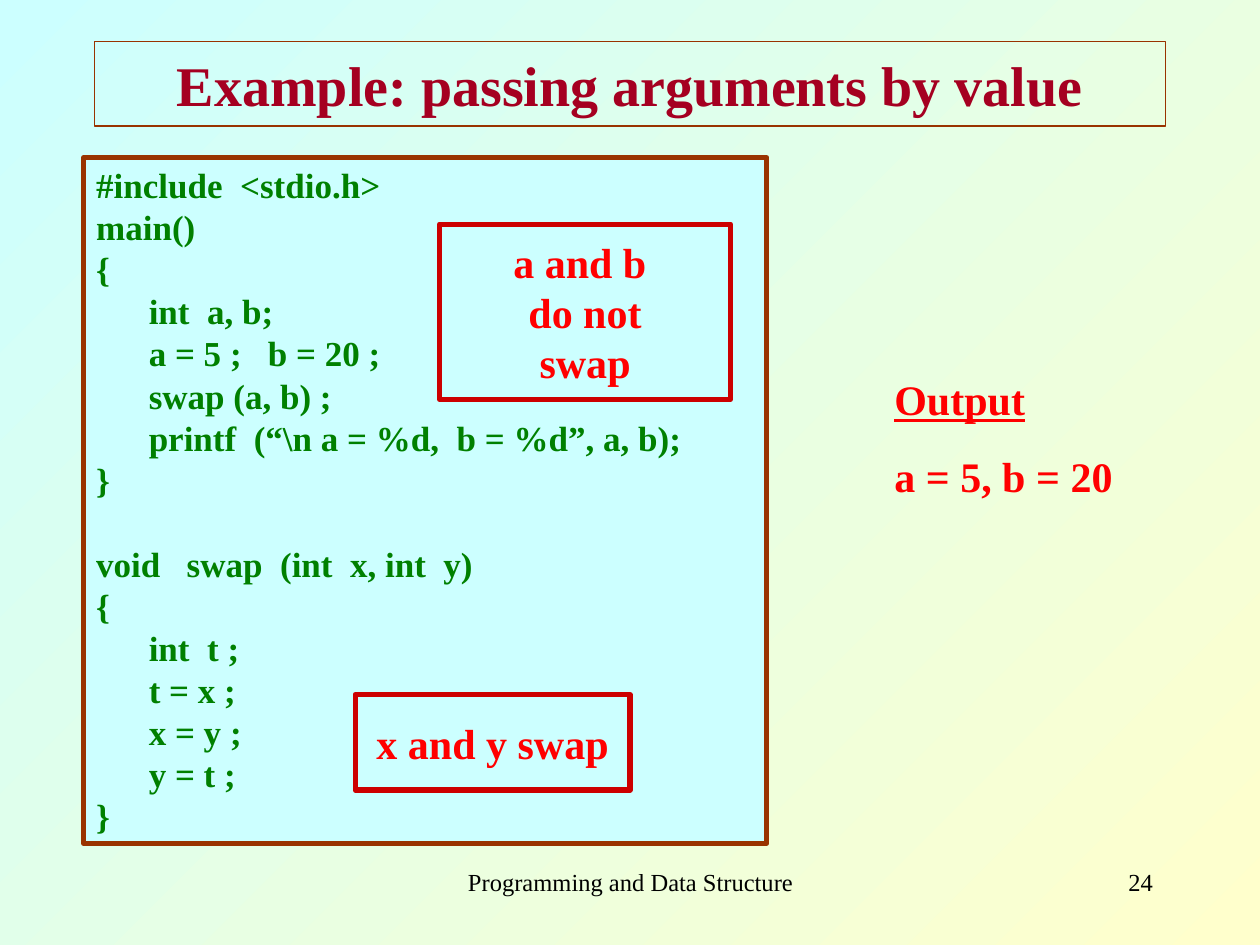
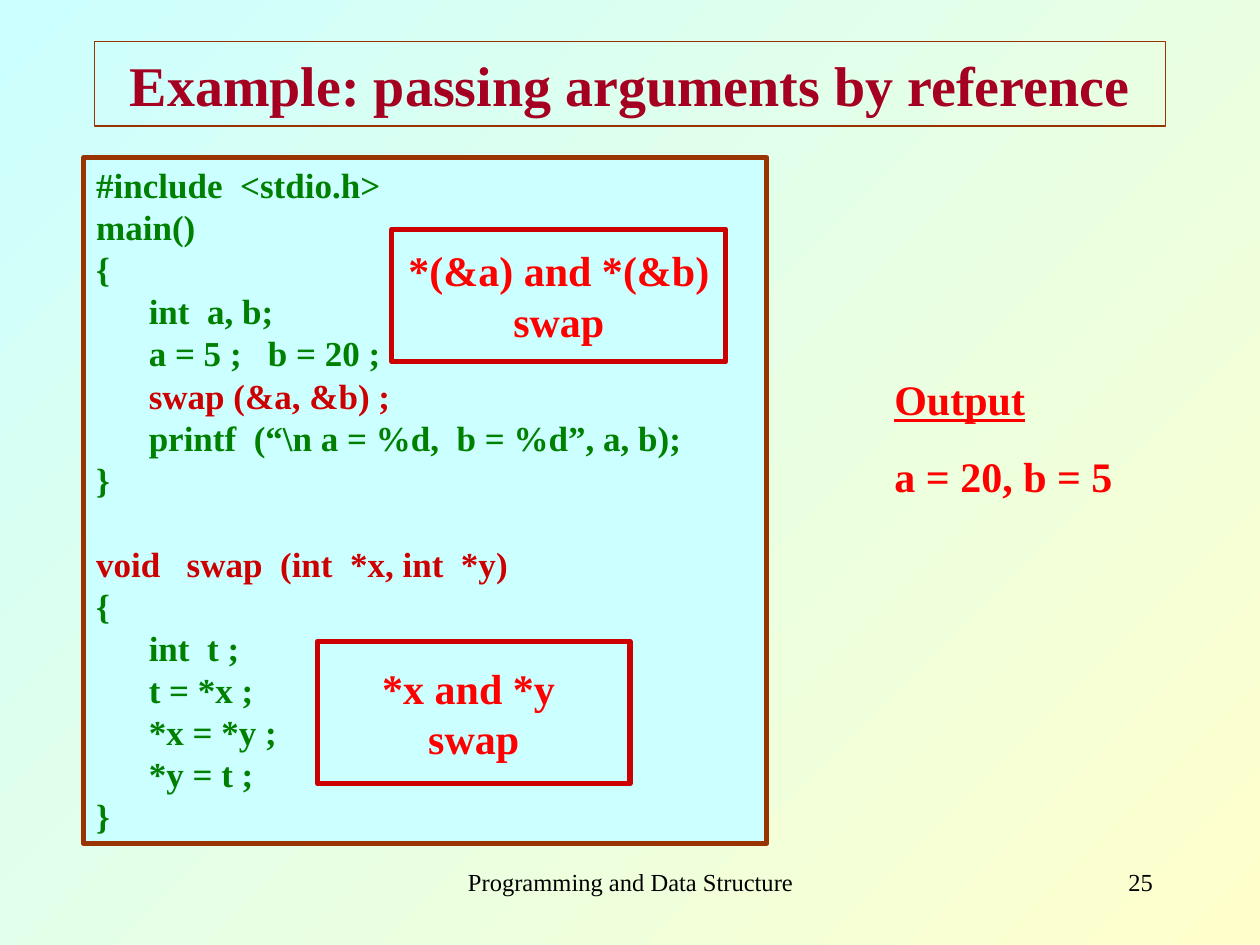
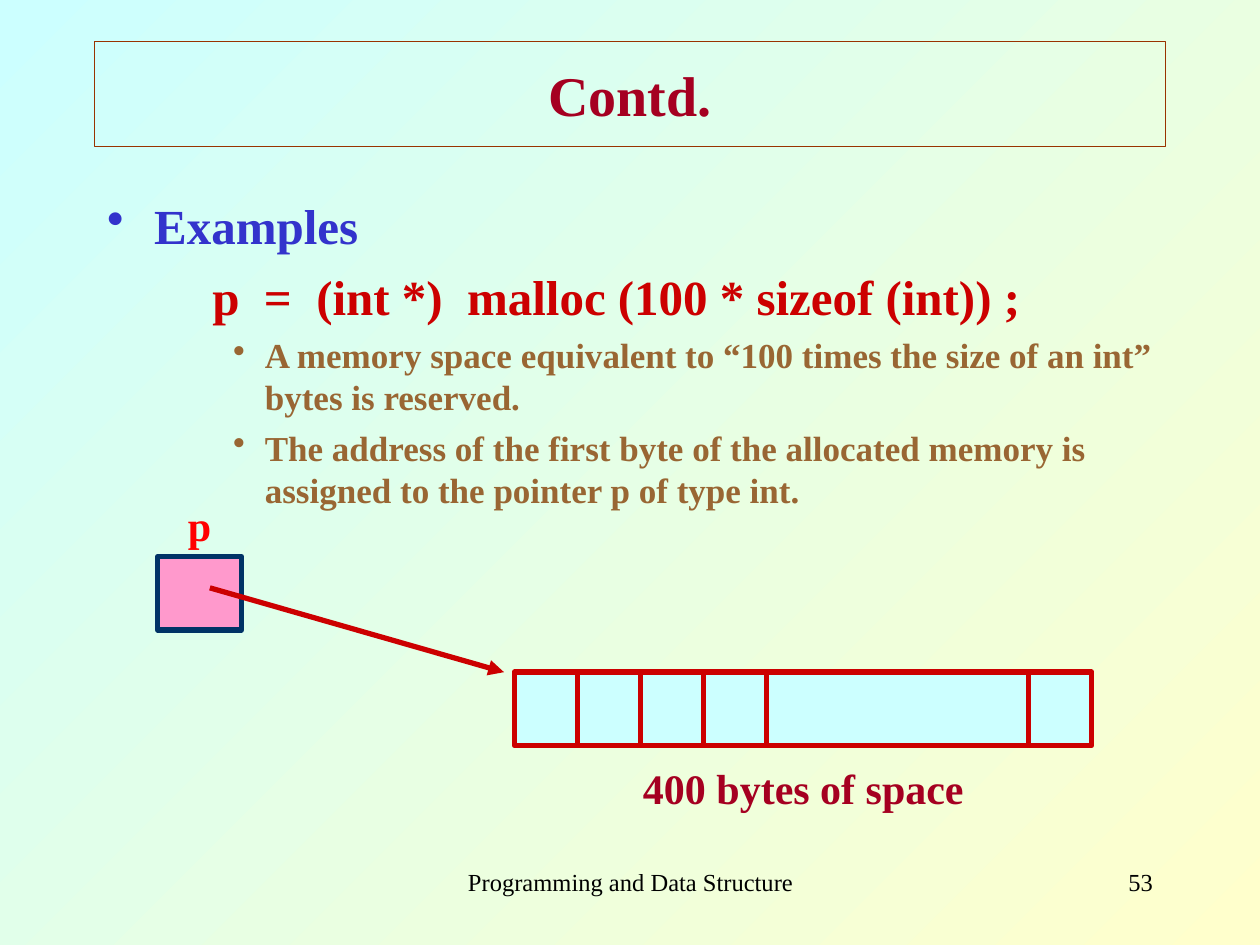
from lxml import etree
from pptx import Presentation, util as u
from pptx.dml import color as dml
from pptx.enum import shapes, text
from pptx.oxml import ns

COLORS = {
    "sky": "CCFFFF", "cream": "FFFFCC", "brown": "993300", "crimson": "A50021",
    "green": "008000", "red": "FF0000", "dark_red": "CC0000", "blue": "3333CC",
    "tan": "996633", "pink": "FF99CC", "navy": "003366", "black": "000000",
}
CENTER, RIGHT = text.PP_ALIGN.CENTER, text.PP_ALIGN.RIGHT
STYLES = {
    "title": {"size": 32, "bold": True, "color": "crimson", "alignment": CENTER},
    "footer": {"size": 14, "color": "black", "alignment": CENTER},
    "code": {"size": 20, "bold": True, "color": "green"},
    "callout": {"size": 24, "bold": True, "color": "red", "alignment": CENTER},
    "output": {"size": 24, "bold": True, "color": "red", "space_before": 15},
    "body": {"size": 28, "bold": True, "color": "blue", "space_before": 7},
}
CODE_INDENT = {"margin": 1.06}
RED = {"color": "dark_red"}
HEADING = {"margin": 0.95, "indent": -0.95, "bullet": "•"}
STATEMENT = {"margin": 2.12, "color": "dark_red"}
DETAIL = {"margin": 3.18, "indent": -0.64, "bullet": "•",
          "size": 20, "color": "tan", "space_before": 5}


def rgb(name):
    return dml.RGBColor.from_string(COLORS[name])


class Deck:
    """Hold the shared style and the slide being filled."""

    def __init__(self):
        self.presentation = Presentation()
        self.presentation.slide_width = u.Cm(25.4)
        self.presentation.slide_height = u.Cm(19.05)
        fill = self.presentation.slide_master.background.fill
        fill.gradient()
        fill.gradient_angle = 315
        for stop, name in zip(fill.gradient_stops, ("sky", "cream")):
            stop.color.rgb = rgb(name)

    def start_slide(self, title, number, title_height=1.7):
        layout = self.presentation.slide_layouts[6]
        self.slide = self.presentation.slides.add_slide(layout)
        self.label((8.69, 17.35, 8.05, 1.27), ["Programming and Data Structure"], "footer")
        self.label((18.21, 17.35, 5.28, 1.27), [(str(number), {"alignment": RIGHT})], "footer")
        box = self.box((1.91, 0.84, 21.59, title_height), None, "brown", 0.75)
        self.set_text(box, [title], "title", vertical_anchor=text.MSO_ANCHOR.MIDDLE)

    def box(self, place, fill, line, width=3):
        shape = self.slide.shapes.add_shape(shapes.MSO_SHAPE.RECTANGLE, *map(u.Cm, place))
        shape.shadow.inherit = False
        if fill:
            shape.fill.solid()
            shape.fill.fore_color.rgb = rgb(fill)
        else:
            shape.fill.background()
        shape.line.color.rgb = rgb(line)
        shape.line.width = u.Pt(width)
        return shape

    def label(self, place, lines, style):
        self.set_text(self.slide.shapes.add_textbox(*map(u.Cm, place)), lines, style)

    def callout(self, place, lines):
        self.set_text(self.box(place, "sky", "dark_red"), lines, "callout",
                      word_wrap=False, vertical_anchor=text.MSO_ANCHOR.MIDDLE)

    def line(self, start, end, arrow=False):
        connector = self.slide.shapes.add_connector(
            shapes.MSO_CONNECTOR.STRAIGHT, *map(u.Cm, start + end))
        connector.line.color.rgb = rgb("dark_red")
        connector.line.width = u.Pt(3)
        if arrow:
            etree.SubElement(connector.get_or_add_ln(), ns.qn("a:tailEnd"), type="triangle")
        etree.SubElement(connector._element.spPr, ns.qn("a:effectLst"))

    def set_text(self, shape, lines, style, **frame_format):
        frame = shape.text_frame
        frame_format = {"word_wrap": True, "vertical_anchor": text.MSO_ANCHOR.TOP, **frame_format}
        for name, value in frame_format.items():
            setattr(frame, name, value)
        for index, line in enumerate(lines):
            words, changes = (line, {}) if isinstance(line, str) else line
            paragraph = frame.add_paragraph() if index else frame.paragraphs[0]
            self.format_paragraph(paragraph, words, {**STYLES[style], **changes})

    def format_paragraph(self, paragraph, words, look):
        run = paragraph.add_run()
        run.text = words
        paragraph.alignment = look.get("alignment", text.PP_ALIGN.LEFT)
        paragraph.space_before = u.Pt(look.get("space_before", 0))
        font_format = {"name": "Times New Roman", "size": u.Pt(look["size"]),
                       "bold": look.get("bold", False), "underline": look.get("underline", False)}
        for name, value in font_format.items():
            setattr(run.font, name, value)
        run.font.color.rgb = rgb(look["color"])
        properties = paragraph._p.get_or_add_pPr()
        for attribute, key in (("marL", "margin"), ("indent", "indent")):
            properties.set(attribute, str(u.Cm(look.get(key, 0))))
        if "bullet" in look:
            etree.SubElement(properties, ns.qn("a:buChar"), char=look["bullet"])

    def program_slide(self, title, number, call, signature, steps, accent, output, callouts):
        self.start_slide(title, number)
        main_body = ["int  a, b;", "a = 5 ;   b = 20 ;", (call, accent),
                     "printf  (“\\n a = %d,  b = %d”, a, b);"]
        code = ["#include  <stdio.h>", "main()", "{", *self.indented(main_body), "}",
                (signature, {"space_before": 24, **accent}), "{",
                *self.indented(["int  t ;", *steps]), "}"]
        self.set_text(self.box((1.69, 3.18, 13.77, 13.82), "sky", "brown"), code, "code")
        self.label((17.78, 7.41, 6.35, 2.82), [("Output", {"underline": True}), output], "output")
        for place, lines in callouts:
            self.callout(place, lines)

    def indented(self, lines):
        pairs = [(line, {}) if isinstance(line, str) else line for line in lines]
        return [(words, {**CODE_INDENT, **changes}) for words, changes in pairs]

    def memory_slide(self):
        self.start_slide("Contd.", 53, title_height=2.12)
        self.label((1.91, 3.81, 21.59, 13.12), [
            ("Examples", HEADING),
            ("p  =  (int *)  malloc (100 * sizeof (int)) ;", STATEMENT),
            ("A memory space equivalent to “100 times the size of an int” bytes is reserved.", DETAIL),
            ("The address of the first byte of the allocated memory is assigned "
             "to the pointer p of type int.", DETAIL),
        ], "body")
        left, top, width, height, cell = 10.37, 13.55, 11.64, 1.48, 1.27
        self.box((left, top, width, height), "sky", "dark_red")
        for offset in [cell * count for count in range(1, 5)] + [width - cell]:
            self.line((left + offset, top), (left + offset, top + height))
        self.box((3.18, 11.22, 1.69, height), "pink", "navy")
        self.line((4.23, 11.85), (10.16, top), arrow=True)
        self.label((3.18, 9.95, 1.69, 1.27), ["p"], "callout")
        self.label((11.01, 15.24, 10.37, 1.27),
                   [("400 bytes of space", {"color": "crimson"})], "callout")


def main():
    deck = Deck()
    deck.program_slide(
        "Example: passing arguments by value", 24, "swap (a, b) ;",
        "void   swap  (int  x, int  y)", ["t = x ;", "x = y ;", "y = t ;"], {}, "a = 5, b = 20",
        [((7.16, 14.0, 5.54, 1.93), ["x and y swap"]),
         ((8.86, 4.52, 5.87, 3.53), ["a and b ", "do not", "swap"])])
    deck.program_slide(
        "Example: passing arguments by reference", 25, "swap (&a, &b) ;",
        "void   swap  (int  *x, int  *y)", ["t = *x ;", "*x = *y ;", "*y = t ;"], RED,
        "a = 20, b = 5",
        [((6.4, 12.93, 6.3, 2.87), ["*x and *y ", "swap"]),
         ((7.9, 4.62, 6.73, 2.67), ["*(&a) and *(&b)", "swap"])])
    deck.memory_slide()
    deck.presentation.save("out.pptx")


if __name__ == "__main__":
    main()
